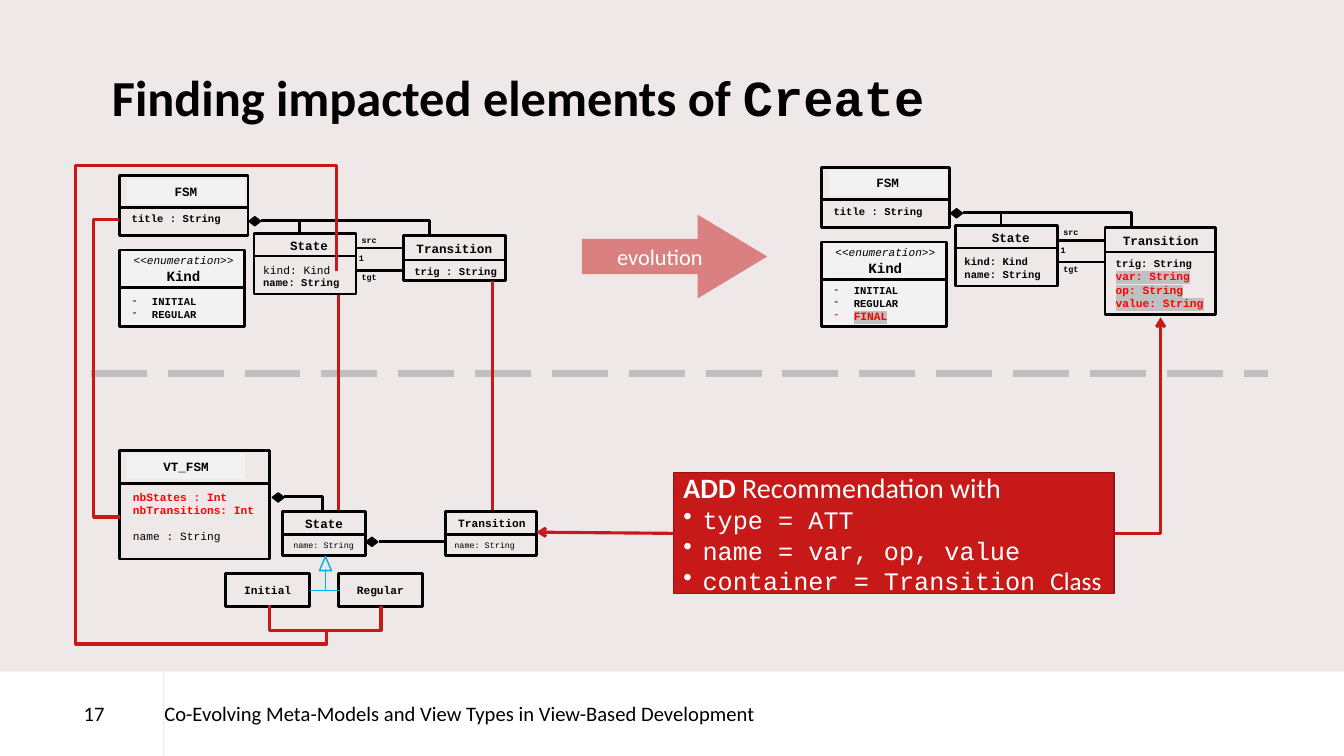
from lxml import etree
from pptx import Presentation
from pptx.dml.color import RGBColor
from pptx.enum.dml import MSO_LINE
from pptx.enum.shapes import MSO_CONNECTOR, MSO_SHAPE
from pptx.enum.text import MSO_ANCHOR, MSO_AUTO_SIZE, PP_ALIGN
from pptx.oxml.ns import qn
from pptx.util import Cm, Pt

RECT, DIAMOND = MSO_SHAPE.RECTANGLE, MSO_SHAPE.FLOWCHART_DECISION
ARROW, TRIANGLE = MSO_SHAPE.RIGHT_ARROW, MSO_SHAPE.ISOSCELES_TRIANGLE
STRAIGHT, ELBOW = MSO_CONNECTOR.STRAIGHT, MSO_CONNECTOR.ELBOW
LEFT, CENTER = PP_ALIGN.LEFT, PP_ALIGN.CENTER
TOP, MIDDLE = MSO_ANCHOR.TOP, MSO_ANCHOR.MIDDLE

BLACK, WHITE = RGBColor(0, 0, 0), RGBColor(255, 255, 255)
BACK, PALE = RGBColor(0xEE, 0xE8, 0xE8), RGBColor(0xF2, 0xF2, 0xF2)
GREY, SKY = RGBColor(0xBF, 0xBF, 0xBF), RGBColor(0, 0xB0, 0xF0)
CRIMSON, DARK_RED = RGBColor(0xC8, 0x19, 0x19), RGBColor(0x94, 0x12, 0x12)
RED = RGBColor(255, 0, 0)

SANS, MONO = "Calibri", "Courier New"
STYLES = {
    "title": (36, SANS, BLACK, {"bold": True}),
    "title_code": (36, MONO, BLACK, {"bold": True}),
    "footer": (14.7, SANS, BLACK, {}),
    "arrow": (16, SANS, WHITE, {}),
    "add": (20, SANS, WHITE, {"bold": True}),
    "with": (20, SANS, WHITE, {}),
    "code": (18, MONO, WHITE, {}),
    "code_end": (18, SANS, WHITE, {}),
    "name": (9, MONO, BLACK, {"bold": True}),
    "subname": (8, MONO, BLACK, {"bold": True}),
    "stereotype": (7.9, MONO, BLACK, {"italic": True}),
    "enum": (10.1, MONO, BLACK, {"bold": True}),
    "attr": (7.5, MONO, BLACK, {"bold": True}),
    "plain": (8, MONO, BLACK, {}),
    "small": (6, MONO, BLACK, {}),
    "role": (6, MONO, BLACK, {"bold": True}),
    "derived": (8, MONO, RED, {"bold": True}),
    "added": (8, MONO, RED, {"bold": True}),
}

TITLE = [[("Finding impacted elements of ", "title"), ("Create", "title_code")]]
FOOTER = [
    (8.8, 4.53, 0, ""),
    (1.63, 7.18, 0, "Co-Evolving Meta-Models and View Types in View-Based Development"),
    (0, 1.62, 0.83, "17"),
]
RECOMMENDATION = [
    [("ADD ", "add"), ("Recommendation with", "with")],
    [("type = ATT", "code")],
    [("name = var, op, value", "code")],
    [("container = Transition ", "code"), ("Class", "code_end")],
]
META_MODELS = [
    {"origin": (1.19, 1.74), "kind": "plain", "transition": (1.01, 0.44),
     "trig": [("trig : String", "attr")], "enum_h": 0.76, "literal_dy": 0.4,
     "literals": [("INITIAL", "attr"), ("REGULAR", "attr")]},
    {"origin": (8.15, 1.66), "kind": "attr", "transition": (1.1, 0.86),
     "trig": [("trig: String", "attr"), ("var: String", "added"),
              ("op: String", "added"), ("value: String", "added")],
     "enum_h": 0.84, "literal_dy": 0.37,
     "literals": [("INITIAL", "attr"), ("REGULAR", "attr"), ("FINAL", "added")]},
]
ROLES = [("src", 2.3, 0.54, 0.36), ("1", 2.27, 0.72, 0.2), ("tgt", 2.3, 0.91, 0.36)]
SUBCLASSES = [("Initial", 2.24), ("Regular", 3.36)]
IMPACT_LINES = [(4.88, 2.79), (3.36, 2.93)]
IMPACT_ROUTES = [
    [(1.18, 2.18), (0.93, 2.18), (0.93, 5.13), (1.19, 5.13)],
    [(2.67, 6), (2.67, 6.25), (3.78, 6.25), (3.78, 6.01)],
    [(3.24, 6.26), (3.24, 6.39), (0.75, 6.39), (0.75, 1.64), (3.34, 1.64), (3.34, 2.69)],
]


def inch(v):
    return Cm(round(v * 2.54, 2))


def write(sp, paras, align=LEFT, anchor=TOP, bullet="", bullet_from=0, inset=None):
    tf = sp.text_frame
    tf.word_wrap, tf.vertical_anchor = True, anchor
    if inset is not None:
        tf.margin_left, tf.margin_right, tf.margin_top, tf.margin_bottom = inch(inset), 0, 0, 0
    for i, runs in enumerate(paras):
        p = tf.paragraphs[0] if i == 0 else tf.add_paragraph()
        p.alignment = align
        if bullet and i >= bullet_from:
            ppr = p._p.get_or_add_pPr()
            ppr.set("marL", str(inch(0.19)))
            ppr.set("indent", str(-inch(0.19)))
            etree.SubElement(ppr, qn("a:buChar"), char=bullet)
        for text, style in runs:
            size, font, color, flags = STYLES[style]
            r = p.add_run()
            r.text = text
            for key, value in {"size": Pt(size), "name": font, "bold": False, **flags}.items():
                setattr(r.font, key, value)
            r.font.color.rgb = color
            if style == "added":
                mark = etree.Element(qn("a:highlight"))
                etree.SubElement(mark, qn("a:srgbClr"), val="C0C0C0")
                r._r.rPr.find(qn("a:solidFill")).addnext(mark)
    return tf


def paint(sp, fill=None, line=None, width=2):
    sp.shadow.inherit = False
    if fill is None:
        sp.fill.background()
    else:
        sp.fill.solid()
        sp.fill.fore_color.rgb = fill
    if line is None:
        sp.line.fill.background()
    else:
        sp.line.color.rgb, sp.line.width = line, Pt(width)
    return sp


def shape(kind, x, y, w, h, fill=None, line=None, width=2):
    sp = s.shapes.add_shape(kind, *map(inch, (x, y, w, h)))
    return paint(sp, fill, line, width)


def label(x, y, w, h, lines, **kw):
    sp = s.shapes.add_textbox(*map(inch, (x, y, w, h)))
    return write(sp, [[line] for line in lines], **kw)


def connect(x1, y1, x2, y2, color=BLACK, width=2, corner=False, head=False):
    c = s.shapes.add_connector(ELBOW if corner else STRAIGHT, *map(inch, (x1, y1, x2, y2)))
    c.line.color.rgb, c.line.width = color, Pt(width)
    sppr = c._element.spPr
    if corner:
        sppr.find(qn("a:prstGeom")).set("prst", "bentConnector2")
    if head:
        etree.SubElement(c.line._get_or_add_ln(), qn("a:tailEnd"), type="arrow")
    etree.SubElement(sppr, qn("a:effectLst"))
    return c


def class_box(x, y, w, h, names, divider=0, attrs=(), offset=(0, 0), shift=0,
              name_dy=0, plate=False, fill=None, bullet=""):
    shape(RECT, x, y, w, h, fill, BLACK)
    if divider:
        connect(x, y + divider, x + w, y + divider)
    if plate:
        sp = shape(RECT, x + 0.07, y + 0.03, 1.17, 0.25, PALE)
        write(sp, [[n] for n in names], CENTER)
    else:
        label(x + shift - 0.02, y + name_dy, w + 0.04, 0.25, names, align=CENTER)
    if attrs:
        label(x + offset[0], y + offset[1], w + 0.06, 0.14 * len(attrs) + 0.1, attrs, bullet=bullet)


def meta_model(m):
    x, y = m["origin"]
    class_box(x, y, 1.27, 0.6, [("FSM", "name")], 0.32, [("title : String", "attr")],
              (0.02, 0.32), plate=True)
    class_box(x + 1.33, y + 0.58, 1.01, 0.6, [("State", "name")], 0.22,
              [("kind: Kind", m["kind"]), ("name: String", "attr")], (-0.01, 0.24), 0.04, -0.01)
    class_box(x + 2.81, y + 0.6, *m["transition"], [("Transition", "name")], 0.24,
              m["trig"], (0.01, 0.24))
    class_box(x, y + 0.74, 1.24, m["enum_h"], [("<<enumeration>>", "stereotype"), ("Kind", "enum")],
              0.37, m["literals"], (0.03, m["literal_dy"]), 0.01, -0.01, fill=PALE, bullet="-")
    shape(DIAMOND, x + 1.28, y + 0.41, 0.12, 0.09, BLACK, BLACK, 1)
    for dx, dy in [(1.78, 0.58), (3.07, 0.6)]:
        connect(x + 1.4, y + 0.45, x + dx, y + dy, corner=True)
    for dy in (0.72, 0.94):
        connect(x + 2.33, y + dy, x + 2.81, y + dy)
    for text, dx, dy, w in ROLES:
        label(x + dx, y + dy, w, 0.2, [(text, "role")])


def view_type():
    class_box(1.19, 4.47, 1.49, 1.08, [("VT_FSM", "name")], 0.33,
              [("nbStates : Int", "derived"), ("nbTransitions: Int", "derived"),
               ("name : String", "plain")], (0.03, 0.34), plate=True)
    s.shapes[-1].text_frame.paragraphs[2].space_before = Pt(9)
    class_box(2.8, 5.07, 0.83, 0.44, [("State", "name")], 0.23,
              [("name: String", "small")], (0.01, 0.24))
    class_box(4.42, 5.07, 0.9, 0.44, [("Transition", "subname")], 0.23,
              [("name: String", "small")], (-0.01, 0.24), 0.01)
    for x, y in [(2.7, 4.89), (3.63, 5.33)]:
        shape(DIAMOND, x, y, 0.12, 0.09, BLACK, BLACK, 1)
    connect(2.82, 4.93, 3.2, 5.06, corner=True)
    connect(3.76, 5.37, 4.41, 5.37)
    for name, x in SUBCLASSES:
        class_box(x, 5.69, 0.83, 0.33, [(name, "subname")], name_dy=0.05)
    shape(TRIANGLE, 3.17, 5.52, 0.12, 0.14, None, SKY, 1)
    for x in (3.08, 3.36):
        connect(x, 5.86, 3.23, 5.65, SKY, 1, corner=True)


prs = Presentation()
prs.slide_width, prs.slide_height = inch(13.33), inch(7.5)
s = prs.slides.add_slide(prs.slide_layouts[5])
s.background.fill.solid()
s.background.fill.fore_color.rgb = BACK

title = s.shapes.title
title.left, title.top, title.width, title.height = map(inch, (1.11, 0.76, 11.02, 0.79))
tf = write(title, TITLE, inset=0)
tf.auto_size = MSO_AUTO_SIZE.NONE
tf.paragraphs[0].line_spacing = Pt(36)

for x, w, inset, text in FOOTER:
    sp = shape(RECT, x, 6.66, w, 0.84, WHITE)
    if text:
        write(sp, [[(text, "footer")]], anchor=MIDDLE, inset=inset)

for m in META_MODELS:
    meta_model(m)
connect(0.9, 3.7, 12.58, 3.7, GREY, 5).line.dash_style = MSO_LINE.LONG_DASH
view_type()

sp = shape(ARROW, 5.77, 2.13, 1.84, 0.83, CRIMSON)
sp.adjustments[0], sp.adjustments[1] = 0.42, 0.83
etree.SubElement(sp._element.spPr.find(qn("a:solidFill"))[0], qn("a:alpha"), val="50000")
write(sp, [[("evolution", "arrow")]], CENTER, MIDDLE)

for x, y in IMPACT_LINES:
    connect(x, y, x, 5.06, CRIMSON, 2.25)
for route in IMPACT_ROUTES:
    points = [(inch(x), inch(y)) for x, y in route]
    fb = s.shapes.build_freeform(*points[0])
    fb.add_line_segments(points[1:], close=False)
    paint(fb.convert_to_shape(), None, CRIMSON, 2.25)

sp = shape(RECT, 6.68, 4.69, 4.37, 1.2, CRIMSON, DARK_RED, 1)
write(sp, RECOMMENDATION, anchor=MIDDLE, bullet="•", bullet_from=1)
connect(11.05, 5.29, 11.51, 3.15, CRIMSON, 2.25, corner=True, head=True)
connect(6.68, 5.29, 5.32, 5.28, CRIMSON, 2.25, head=True)

prs.save("out.pptx")
